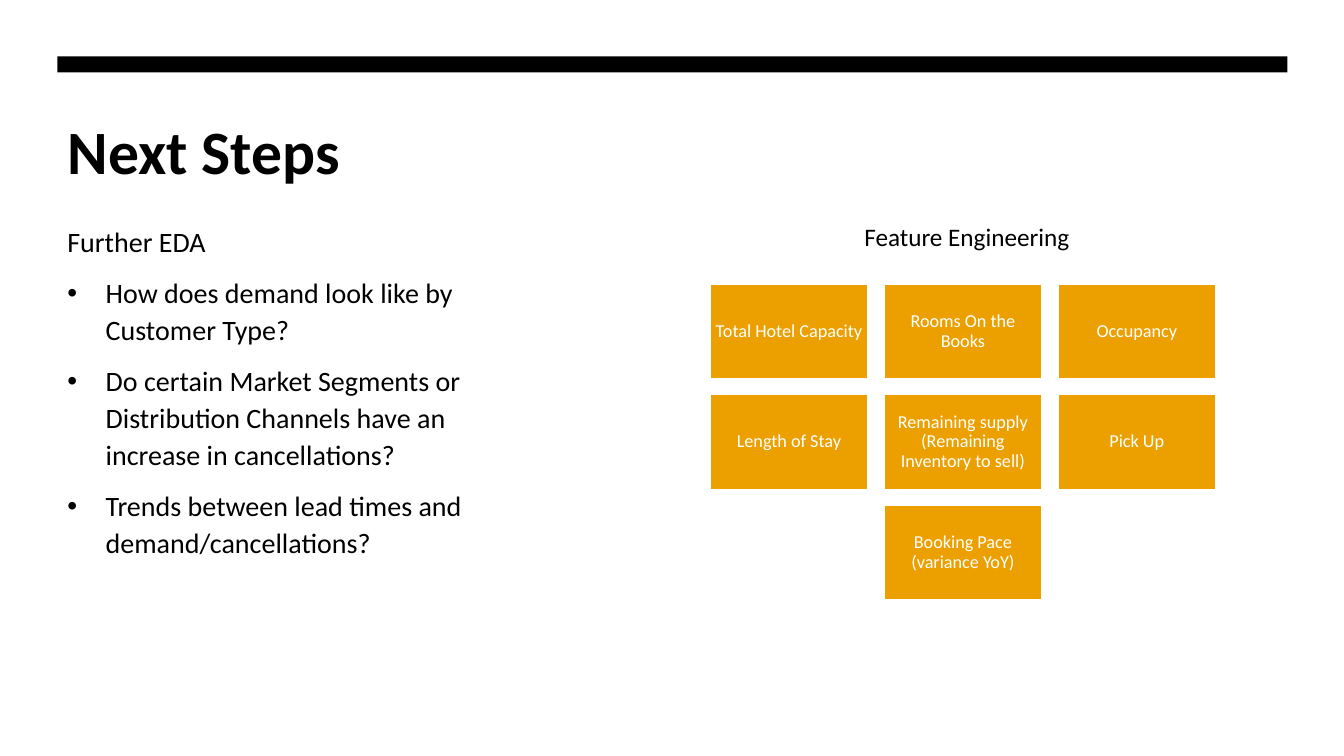
"""Build the Next Steps slide."""
from lxml.etree import SubElement
from pptx import Presentation
from pptx.dml.color import RGBColor
from pptx.enum.shapes import MSO_SHAPE as SHAPE
from pptx.enum.text import MSO_ANCHOR as ANCHOR, PP_ALIGN as ALIGN
from pptx.oxml.ns import qn
from pptx.util import Inches, Pt

TITLE = "Next Steps"
EDA_HEADING = "Further EDA"
EDA_QUESTIONS = [
    "How does demand look like by Customer Type?",
    "Do certain Market Segments or Distribution Channels have an increase in cancellations?",
    "Trends between lead times and demand/cancellations?",
]
FEATURE_HEADING = "Feature Engineering"
FEATURE_ROWS = [
    ["Total Hotel Capacity", "Rooms On the Books", "Occupancy"],
    ["Length of Stay", "Remaining supply (Remaining Inventory to sell)", "Pick Up"],
    ["Booking Pace (variance YoY)"],
]
FONT = "Calibri"
BLACK, WHITE, AMBER = "000000", "FFFFFF", "EBA000"
LEFT, BAR_W = 0.57, 12.2
CARD_W, CARD_H = 1.56, 0.94
GRID_CENTER, GRID_TOP = 9.55, 2.82
STEP_X, STEP_Y = 1.725, 1.095


def rgb(color):
    return RGBColor.from_string(color)


def box(*lengths):
    return [Inches(v) for v in lengths]


def add_run(p, text, size, color=BLACK, bold=False):
    r = p.add_run()
    r.text = text
    r.font.name, r.font.size, r.font.bold = FONT, Pt(size), bold
    r.font.color.rgb = rgb(color)


def add_rect(s, bounds, color):
    sp = s.shapes.add_shape(SHAPE.RECTANGLE, *box(*bounds))
    sp.shadow.inherit = False
    sp.fill.solid()
    sp.fill.fore_color.rgb = rgb(color)
    return sp


def add_text_box(s, *bounds):
    tf = s.shapes.add_textbox(*box(*bounds)).text_frame
    tf.word_wrap = True
    return tf


def add_bullet(p):
    pPr = p._p.get_or_add_pPr()
    pPr.set("marL", str(Inches(0.38)))
    pPr.set("indent", str(-Inches(0.38)))
    SubElement(pPr, qn("a:buFont")).set("typeface", "Arial")
    SubElement(pPr, qn("a:buChar")).set("char", "•")


def add_title(s):
    title = s.shapes.title
    title.left, title.top, title.width, title.height = box(LEFT, 1.07, BAR_W, 1.6)
    tf = title.text_frame
    tf.vertical_anchor = ANCHOR.TOP
    p = tf.paragraphs[0]
    p.alignment = ALIGN.LEFT
    add_run(p, TITLE, 44, bold=True)


def add_eda(s):
    tf = add_text_box(s, LEFT, 2.15, 4.46, 4.8)
    p = tf.paragraphs[0]
    p.line_spacing = 1.1
    add_run(p, EDA_HEADING, 20)
    for question in EDA_QUESTIONS:
        p = tf.add_paragraph()
        p.line_spacing, p.space_before = 1.1, Pt(10)
        add_bullet(p)
        add_run(p, question, 20)


def add_card(s, x, y, text):
    sp = add_rect(s, (x, y, CARD_W, CARD_H), AMBER)
    sp.line.color.rgb = rgb(WHITE)
    sp.line.width = Pt(1)
    tf = sp.text_frame
    tf.word_wrap = True
    tf.vertical_anchor = ANCHOR.MIDDLE
    tf.margin_left = tf.margin_right = tf.margin_top = tf.margin_bottom = Inches(0.05)
    p = tf.paragraphs[0]
    p.alignment, p.line_spacing = ALIGN.CENTER, 0.9
    add_run(p, text, 13, WHITE)


def add_features(s):
    p = add_text_box(s, 7.22, 2.15, 4.74, 0.4).paragraphs[0]
    p.alignment = ALIGN.CENTER
    add_run(p, FEATURE_HEADING, 18)
    for i, row in enumerate(FEATURE_ROWS):
        row_left = GRID_CENTER - ((len(row) - 1) * STEP_X + CARD_W) / 2
        for j, text in enumerate(row):
            add_card(s, row_left + j * STEP_X, GRID_TOP + i * STEP_Y, text)


def main():
    prs = Presentation()
    prs.slide_width, prs.slide_height = box(13.33, 7.5)
    s = prs.slides.add_slide(prs.slide_layouts[5])
    s.background.fill.solid()
    s.background.fill.fore_color.rgb = rgb(WHITE)
    add_title(s)
    add_rect(s, (LEFT, 0.56, BAR_W, 0.16), BLACK).line.fill.background()
    add_eda(s)
    add_features(s)
    prs.save("out.pptx")


if __name__ == "__main__":
    main()
